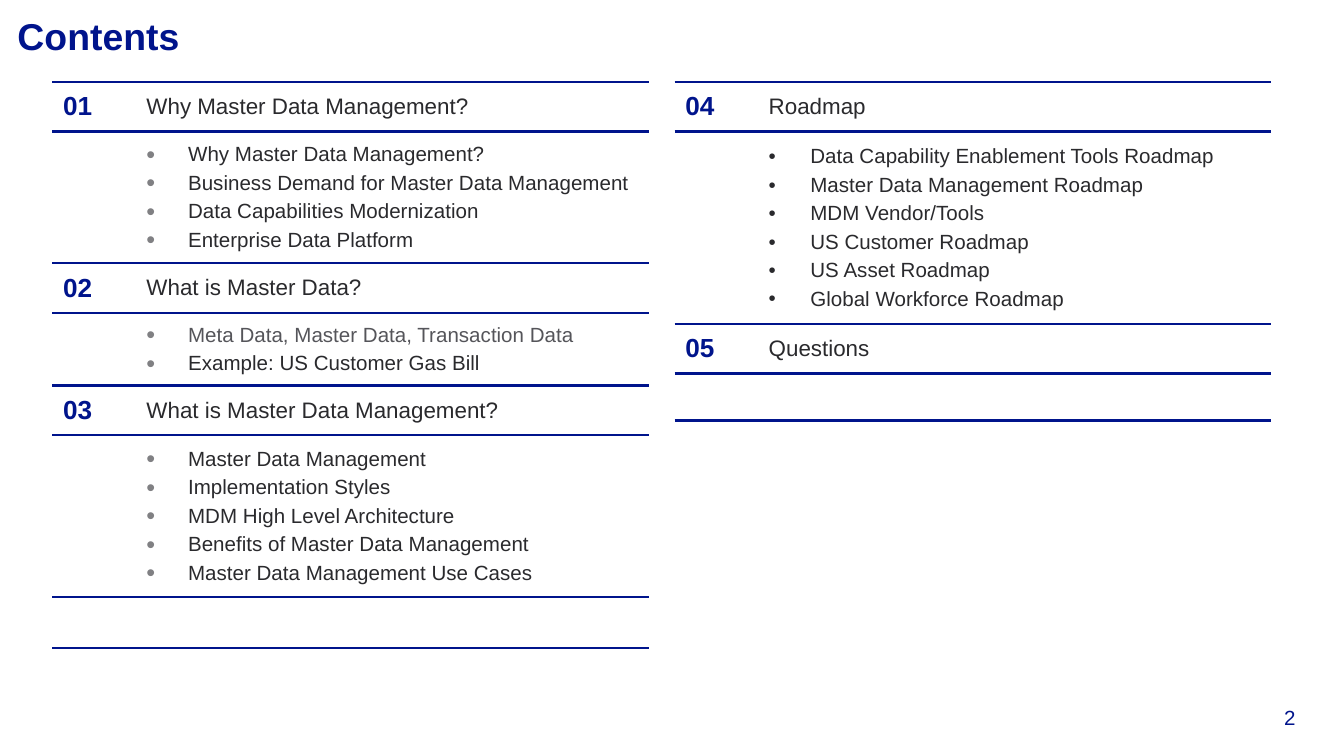
from lxml.etree import SubElement
from pptx import Presentation
from pptx.dml.color import RGBColor
from pptx.enum.text import MSO_ANCHOR as ANCHOR, PP_ALIGN as ALIGN
from pptx.oxml.ns import qn
from pptx.util import Inches, Pt

NAVY, DARK, GREY, BULLET_GREY = "00148C", "2A2A2D", "55555A", "808083"
NO_STYLE = "{2D5ABB26-0587-4C30-8999-92F81FD0307C}"
MUTED = "Meta Data, Master Data, Transaction Data"
HEADER_H, BULLET_H, BULLET_PAD = 0.37, 0.21, 0.12

# Each column: left edge, bullet colour, closing row height, sections
columns = [
    (0.39, BULLET_GREY, 0.38, [
        ("01", "Why Master Data Management?", [
            "Why Master Data Management?",
            "Business Demand for Master Data Management",
            "Data Capabilities Modernization",
            "Enterprise Data Platform"]),
        ("02", "What is Master Data?", [
            MUTED,
            "Example: US Customer Gas Bill"]),
        ("03", "What is Master Data Management?", [
            "Master Data Management",
            "Implementation Styles",
            "MDM High Level Architecture",
            "Benefits of Master Data Management",
            "Master Data Management Use Cases"]),
    ]),
    (5.02, None, 0.35, [
        ("04", "Roadmap", [
            "Data Capability Enablement Tools Roadmap",
            "Master Data Management Roadmap",
            "MDM Vendor/Tools",
            "US Customer Roadmap",
            "US Asset Roadmap",
            "Global Workforce Roadmap"]),
        ("05", "Questions", []),
    ]),
]


def style(p, size, color, bold=False):
    for r in p.runs:
        r.font.name = "Arial"
        r.font.size = Pt(size)
        r.font.bold = bold
        r.font.color.rgb = RGBColor.from_string(color)


def add_bullet(p, color):
    pPr = p._p.get_or_add_pPr()
    pPr.set("marL", str(Inches(0.31)))
    pPr.set("indent", str(-Inches(0.31)))
    if color:
        SubElement(SubElement(pPr, qn("a:buClr")), qn("a:srgbClr"), val=color)
        SubElement(pPr, qn("a:buSzPct"), val="123000")
    SubElement(pPr, qn("a:buFont"), typeface="Arial")
    SubElement(pPr, qn("a:buChar"), char="•")


prs = Presentation()
prs.slide_width, prs.slide_height = Inches(10), Inches(10 * 9 / 16)
s = prs.slides.add_slide(prs.slide_layouts[6])

for text, box, size, bold, align, anchor in [
    ("Contents", (0.13, 0.1, 9.29, 0.47), 20, True, ALIGN.LEFT, ANCHOR.TOP),
    ("2", (9.06, 5.24, 0.58, 0.19), 11, False, ALIGN.RIGHT, ANCHOR.BOTTOM),
]:
    tf = s.shapes.add_textbox(*map(Inches, box)).text_frame
    tf.word_wrap = True
    tf.margin_left = tf.margin_right = tf.margin_top = tf.margin_bottom = 0
    tf.vertical_anchor = anchor
    tf.text = text
    p = tf.paragraphs[0]
    p.alignment = align
    style(p, size, NAVY, bold)

for left, bullet_color, closing_h, sections in columns:
    heights = []
    for number, heading, topics in sections:
        heights.append(HEADER_H)
        if topics:
            heights.append(BULLET_PAD + BULLET_H * len(topics))
    heights.append(closing_h)

    frame = s.shapes.add_table(len(heights), 2, Inches(left), Inches(0.61),
                               Inches(4.44), Inches(sum(heights)))
    table = frame.table
    table.first_row = table.horz_banding = False
    table._tbl.tblPr.find(qn("a:tableStyleId")).text = NO_STYLE
    table.columns[0].width, table.columns[1].width = Inches(0.62), Inches(3.82)
    for row, height in zip(table.rows, heights):
        row.height = Inches(height)

    for cell in table.iter_cells():
        cell.vertical_anchor = ANCHOR.MIDDLE
        cell.margin_left = cell.margin_right = Inches(0.08)
        cell.margin_top = cell.margin_bottom = Inches(0.06)
        tcPr = cell._tc.get_or_add_tcPr()
        for side in ("a:lnT", "a:lnB"):
            ln = SubElement(tcPr, qn(side), w=str(Pt(1.5)))
            SubElement(SubElement(ln, qn("a:solidFill")), qn("a:srgbClr"), val=NAVY)
        cell.fill.background()

    i = 0
    for number, heading, topics in sections:
        for cell, text, size, color, bold in [
            (table.cell(i, 0), number, 14, NAVY, True),
            (table.cell(i, 1), heading, 12, DARK, False),
        ]:
            cell.text_frame.text = text
            style(cell.text_frame.paragraphs[0], size, color, bold)
        i += 1
        if topics:
            tf = table.cell(i, 1).text_frame
            for n, topic in enumerate(topics):
                p = tf.paragraphs[0] if n == 0 else tf.add_paragraph()
                p.text = topic
                p.space_after = Pt(3)
                add_bullet(p, bullet_color)
                style(p, 11, GREY if topic == MUTED else DARK)
            i += 1

    for cell in table.rows[i].cells:
        cell.margin_top = cell.margin_bottom = 0
    if not sections[-1][2]:
        table.cell(i, 0).merge(table.cell(i, 1))

prs.save("out.pptx")
